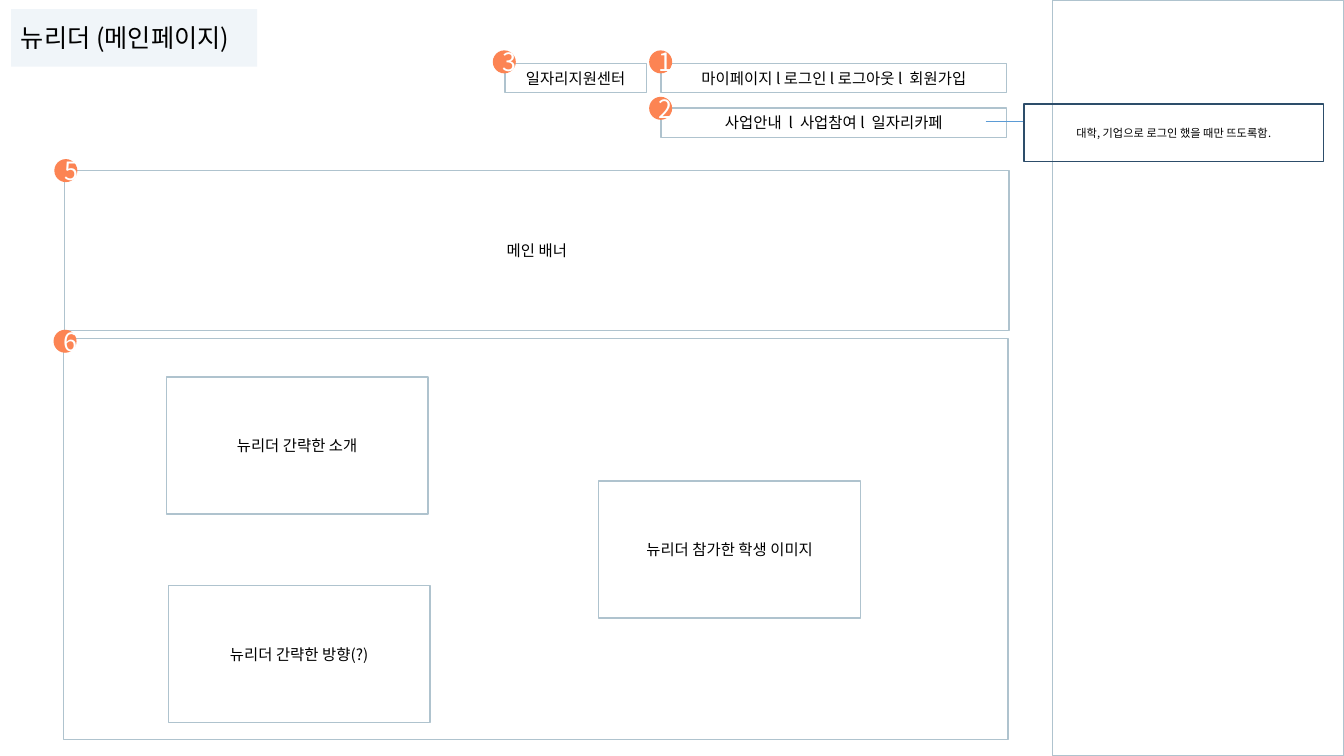
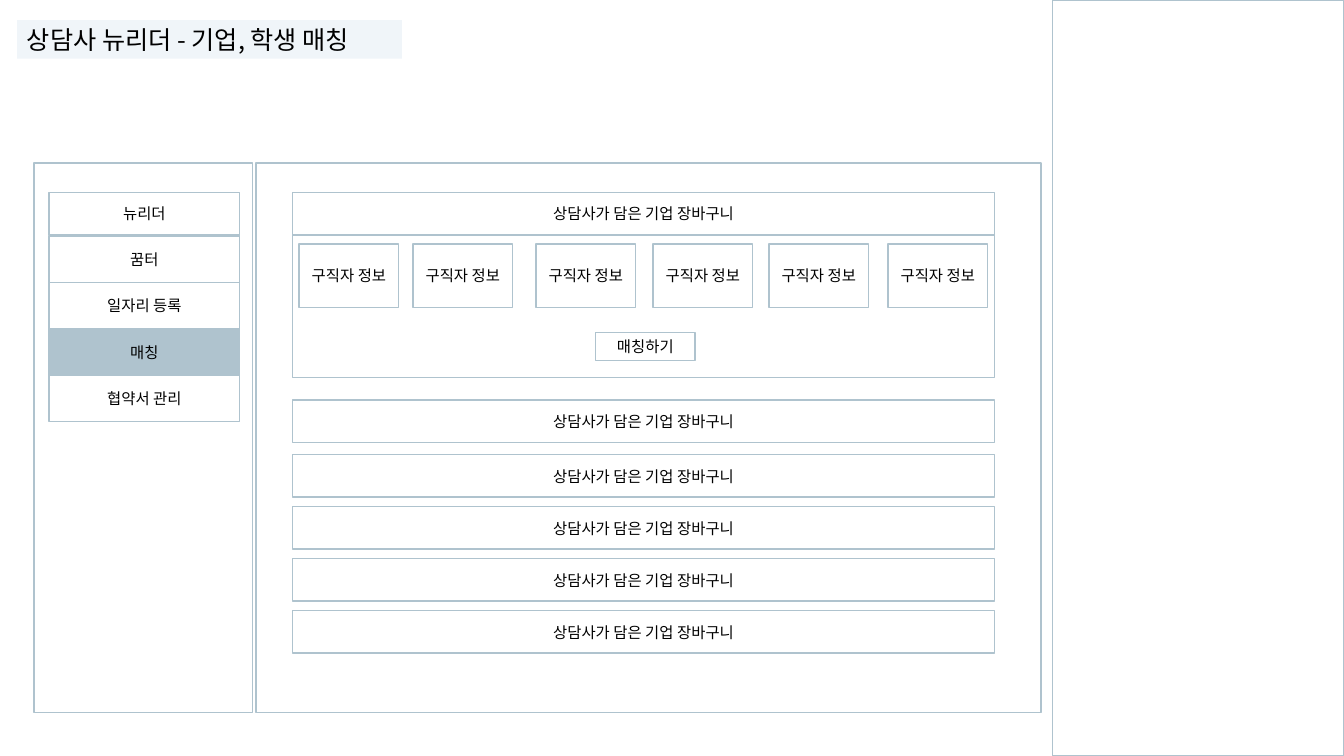
from lxml import etree
from pptx import Presentation
from pptx.dml.color import RGBColor
from pptx.enum.shapes import MSO_CONNECTOR, MSO_SHAPE
from pptx.enum.text import MSO_ANCHOR, PP_ALIGN
from pptx.oxml.ns import qn
from pptx.util import Cm, Pt

RECTANGLE, OVAL = MSO_SHAPE.RECTANGLE, MSO_SHAPE.OVAL
STRAIGHT = MSO_CONNECTOR.STRAIGHT
MIDDLE = MSO_ANCHOR.MIDDLE
LEFT, CENTER = PP_ALIGN.LEFT, PP_ALIGN.CENTER

BLACK = RGBColor(0x00, 0x00, 0x00)
WHITE = RGBColor(0xFF, 0xFF, 0xFF)
FRAME_BLUE = RGBColor(0xAF, 0xC3, 0xCE)
TITLE_FILL = RGBColor(0xF0, 0xF5, 0xF9)
BADGE_ORANGE = RGBColor(0xFC, 0x84, 0x53)
CALLOUT_NAVY = RGBColor(0x2D, 0x4D, 0x6A)
LINK_BLUE = RGBColor(0x5B, 0x9B, 0xD5)

FONT = "Noto Sans CJK KR"
SLIDE_WIDTH, SLIDE_HEIGHT = 33.87, 19.05


def write_text(shape, text, size=11, color=BLACK, align=CENTER):
    frame = shape.text_frame
    frame.word_wrap = True
    frame.vertical_anchor = MIDDLE
    paragraph = frame.paragraphs[0]
    paragraph.alignment = align
    run = paragraph.add_run()
    run.text = text
    run.font.name = FONT
    run.font.size = Pt(size)
    run.font.color.rgb = color
    properties = run.font._element
    etree.SubElement(properties, qn("a:ea")).set("typeface", FONT)


class Wireframe:
    """Holds the presentation and the slide being drawn; lengths are in cm."""

    def __init__(self):
        self.presentation = Presentation()
        self.presentation.slide_width = Cm(SLIDE_WIDTH)
        self.presentation.slide_height = Cm(SLIDE_HEIGHT)
        self.slide = None

    def start_slide(self, title, left, top, width, height):
        """Add a slide with its title band and the empty notes column."""
        layout = self.presentation.slide_layouts[6]
        self.slide = self.presentation.slides.add_slide(layout)
        self.box(26.52, 0, 7.35, SLIDE_HEIGHT)
        self.box(left, top, width, height, title, fill=TITLE_FILL, line=None,
                 size=18, align=LEFT)

    def box(self, left, top, width, height, text=None, fill=None,
            line=FRAME_BLUE, kind=RECTANGLE, **text_format):
        shape = self.slide.shapes.add_shape(
            kind, Cm(left), Cm(top), Cm(width), Cm(height))
        shape.shadow.inherit = False
        if fill is None:
            shape.fill.background()
        else:
            shape.fill.solid()
            shape.fill.fore_color.rgb = fill
        if line is None:
            shape.line.fill.background()
        else:
            shape.line.color.rgb = line
            shape.line.width = Pt(1)
        if text:
            write_text(shape, text, **text_format)

    def badge(self, number, left, top):
        self.box(left, top, 0.58, 0.58, str(number), fill=BADGE_ORANGE,
                 line=None, kind=OVAL, size=18, color=WHITE)

    def horizontal_line(self, left, right, top):
        connector = self.slide.shapes.add_connector(
            STRAIGHT, Cm(left), Cm(top), Cm(right), Cm(top))
        connector.line.color.rgb = LINK_BLUE
        connector.line.width = Pt(0.5)
        etree.SubElement(connector._element.spPr, qn("a:effectLst"))


def draw_main_page(wireframe):
    wireframe.start_slide("뉴리더 (메인페이지)", 0.28, 0.23, 6.2, 1.45)

    wireframe.box(12.73, 1.6, 3.56, 0.74, "일자리지원센터")
    menus = ((1.6, "마이페이지 l 로그인 l 로그아웃 l  회원가입"),
             (2.72, "사업안내  l  사업참여 l  일자리카페"))
    for top, text in menus:
        wireframe.box(16.66, top, 8.71, 0.74, text)

    wireframe.box(1.63, 4.29, 23.8, 4.04, "메인 배너")
    wireframe.box(1.6, 8.53, 23.8, 10.11)
    cards = ((4.19, 9.5, "뉴리더 간략한 소개"),
             (15.09, 12.12, "뉴리더 참가한 학생 이미지"),
             (4.24, 14.76, "뉴리더 간략한 방향(?)"))
    for left, top, text in cards:
        wireframe.box(left, top, 6.6, 3.45, text)

    badges = ((1, 16.36, 1.27), (2, 16.36, 2.44), (3, 12.42, 1.27),
              (5, 1.37, 4.01), (6, 1.35, 8.31))
    for number, left, top in badges:
        wireframe.badge(number, left, top)

    wireframe.horizontal_line(24.84, 25.83, 3.07)
    wireframe.box(25.81, 2.62, 7.54, 1.45,
                  "대학, 기업으로 로그인 했을 때만 뜨도록함.",
                  line=CALLOUT_NAVY, size=8)


def draw_matching_page(wireframe):
    wireframe.start_slide("상담사 뉴리더 - 기업, 학생 매칭",
                          0.43, 0.51, 9.7, 0.97)
    panel_top, panel_height = 4.11, 13.84
    wireframe.box(0.86, panel_top, 5.51, panel_height)
    wireframe.box(6.45, panel_top, 19.79, panel_height)

    first_row_top, row_height = 4.85, 1.07
    menu_left, menu_width, item_height = 1.24, 4.8, 1.17
    wireframe.box(menu_left, first_row_top, menu_width, row_height, "뉴리더")
    selected = "매칭"
    for index, text in enumerate(("꿈터", "일자리 등록", selected, "협약서 관리")):
        wireframe.box(menu_left, 5.95 + index * item_height, menu_width,
                      item_height, text,
                      fill=FRAME_BLUE if text == selected else None)

    basket_left, basket_width = 7.37, 17.7
    lower_tops = [11.46 + index * 1.31 for index in range(4)]
    for top in (first_row_top, 10.08, *lower_tops):
        wireframe.box(basket_left, top, basket_width, row_height,
                      "상담사가 담은 기업 장바구니")

    wireframe.box(basket_left, 5.94, basket_width, 3.58)
    for left in (7.54, 10.41, 13.51, 16.46, 19.38, 22.38):
        wireframe.box(left, 6.15, 2.51, 1.6, "구직자 정보")
    wireframe.box(15.01, 8.38, 2.51, 0.71, "매칭하기")


def main():
    wireframe = Wireframe()
    draw_main_page(wireframe)
    draw_matching_page(wireframe)
    wireframe.presentation.save("out.pptx")


if __name__ == "__main__":
    main()
